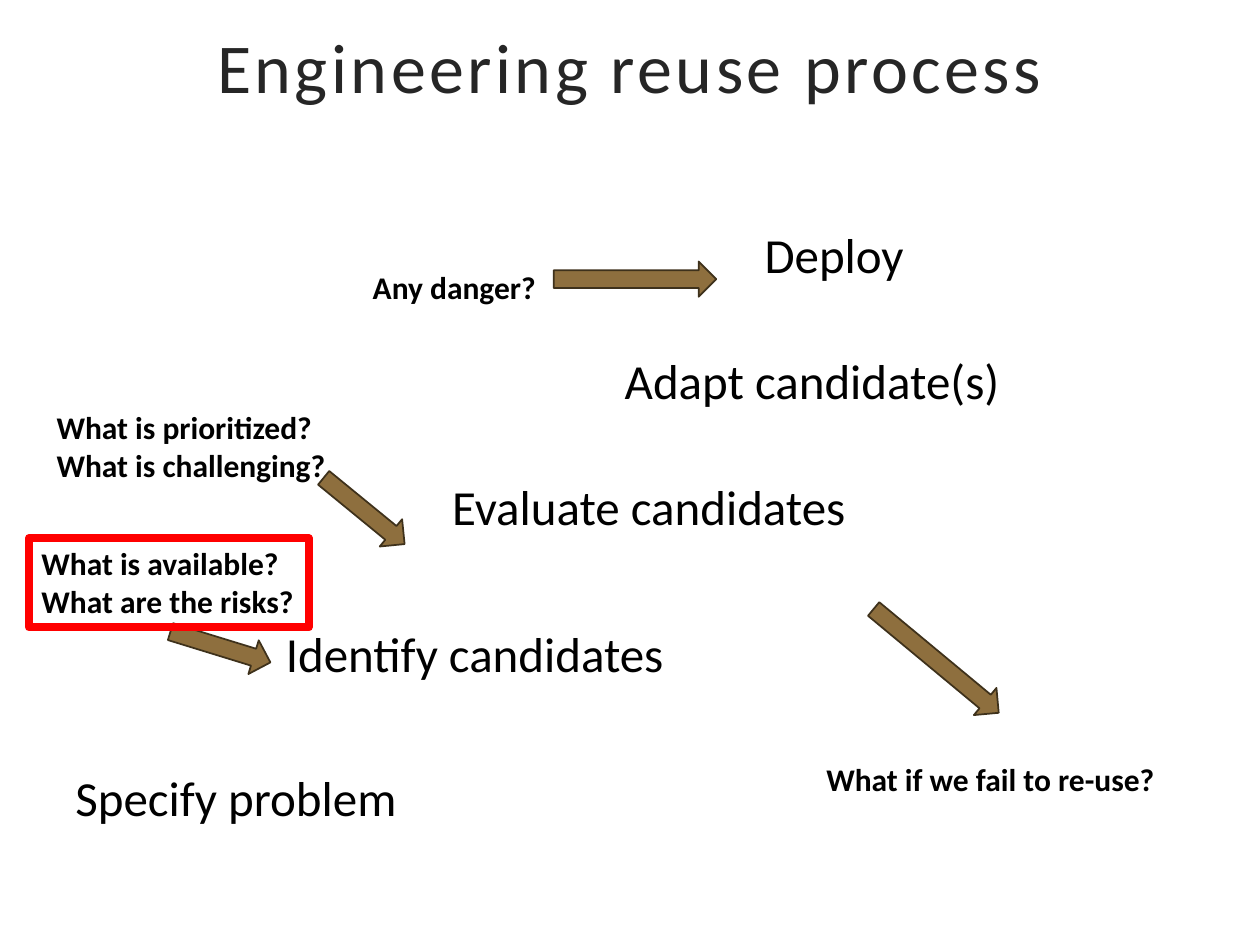
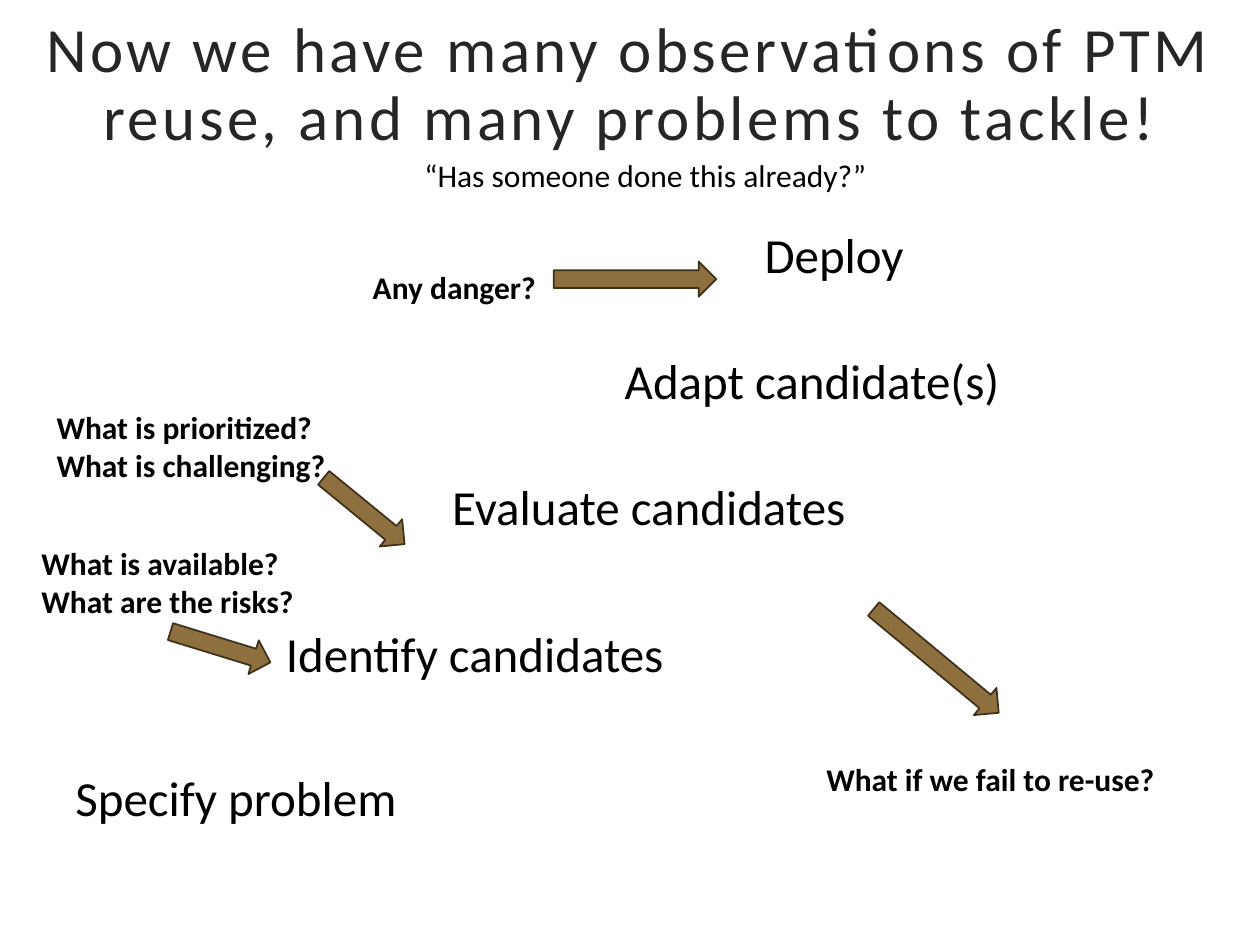
from dataclasses import dataclass

from pptx import Presentation
from pptx.dml.color import RGBColor
from pptx.enum.shapes import MSO_SHAPE as Preset
from pptx.enum.text import MSO_ANCHOR as Anchor, MSO_AUTO_SIZE as AutoSize, PP_ALIGN as Align
from pptx.presentation import Presentation as Deck
from pptx.shapes.autoshape import Shape
from pptx.slide import Slide
from pptx.util import Inches, Pt

COLUMNS, ROWS = 100, 75
SLIDE_WIDTH, SLIDE_HEIGHT = Inches(10), Inches(7.5)

FONT = "Calibri"
BLACK, WHITE, TITLE_GREY = "000000", "FFFFFF", "262626"
ARROW_BROWN, ARROW_EDGE, HIGHLIGHT_RED = "8E6F3E", "3E311B", "FF0000"
STEP_SIZE, QUESTION_SIZE = 28, 18
STEP_HEIGHT, ARROW_WIDTH = 5.7, 2.8
LINE_HEIGHT, BOX_PADDING = 3.1, 0.9


@dataclass(frozen=True)
class Area:
    """A place on the grid, in columns and rows."""
    column: float
    row: float
    columns: float
    rows: float

    def lengths(self) -> tuple[int, int, int, int]:
        cell_width, cell_height = SLIDE_WIDTH / COLUMNS, SLIDE_HEIGHT / ROWS
        return (round(self.column * cell_width), round(self.row * cell_height),
                round(self.columns * cell_width), round(self.rows * cell_height))


@dataclass(frozen=True)
class Step:
    text: str
    column: float
    row: float
    columns: float


@dataclass(frozen=True)
class Question:
    text: str
    column: float
    row: float
    columns: float
    bold: bool = True


@dataclass(frozen=True)
class Arrow:
    column: float
    row: float
    rows: float
    rotation: float


@dataclass(frozen=True)
class Title:
    text: str
    area: Area
    size: int


STEPS = (
    Step("Specify problem", 5, 60.4, 27.8),
    Step("Identify candidates", 21.7, 49, 32.3),
    Step("Evaluate candidates", 34.9, 37.3, 33.6),
    Step("Adapt candidate(s)", 48.6, 27.3, 32.1),
    Step("Deploy", 59.7, 17.3, 13.2),
)
AVAILABILITY = Question("What is available?\nWhat are the risks?", 2.3, 42.7, 22.2)
QUESTIONS = (
    AVAILABILITY,
    Question("What is prioritized?\nWhat is challenging?", 3.5, 31.9, 23.5),
    Question("Any danger?", 28.6, 20.8, 15.1),
    Question("What if we fail to re-use?", 64.6, 59.8, 28.3),
)
ALREADY_DONE = Question("“Has someone done this already?”", 32.7, 11.9, 37.4, bold=False)
ARROWS = (
    Arrow(16.1, 47.2, 8.3, 287.1),
    Arrow(27.5, 36.4, 8.3, 309.3),
    Arrow(49, 15.7, 12.9, 270),
    Arrow(72.9, 46, 12.9, 309.7),
)
PROCESS_TITLE = Title("Engineering reuse process", Area(7.5, 0.6, 85, 10.3), 40)
PROBLEMS_TITLE = Title(
    "Now we have many observations of PTM reuse, and many problems to tackle!",
    Area(-0.3, -0.6, 100.5, 19.2), 36)


def colour(value: str) -> RGBColor:
    return RGBColor.from_string(value)


def add_text(slide: Slide, text: str, area: Area, *, size: float, ink: str = BLACK,
             bold: bool = False, align: Align = Align.LEFT, wrap: bool = False,
             inset: float | None = None, line_spacing: float | None = None,
             tracking: float = 0) -> Shape:
    """Write each line of the text as a paragraph; tracking is in points."""
    box = slide.shapes.add_textbox(*area.lengths())
    frame = box.text_frame
    frame.word_wrap = wrap
    frame.auto_size = AutoSize.NONE if wrap else AutoSize.SHAPE_TO_FIT_TEXT
    frame.vertical_anchor = Anchor.TOP
    if inset is not None:
        frame.margin_left = frame.margin_right = Inches(inset)
        frame.margin_top = frame.margin_bottom = Inches(inset)
    frame.text = text
    for paragraph in frame.paragraphs:
        paragraph.alignment = align
        paragraph.line_spacing = line_spacing
        for run in paragraph.runs:
            run.font.name = FONT
            run.font.size = Pt(size)
            run.font.bold = bold
            run.font.color.rgb = colour(ink)
            if tracking:
                run.font._element.set("spc", str(round(tracking * 100)))
    return box


def outline(shape: Shape, ink: str, width: float) -> None:
    shape.line.color.rgb = colour(ink)
    shape.line.width = Pt(width)


def add_title(slide: Slide, title: Title) -> None:
    box = add_text(slide, title.text, title.area, size=title.size, ink=TITLE_GREY,
                   align=Align.CENTER, wrap=True, inset=0.2, line_spacing=0.9, tracking=2)
    box.fill.solid()
    box.fill.fore_color.rgb = colour(WHITE)


def add_arrow(slide: Slide, arrow: Arrow) -> None:
    area = Area(arrow.column, arrow.row, ARROW_WIDTH, arrow.rows)
    shape = slide.shapes.add_shape(Preset.DOWN_ARROW, *area.lengths())
    shape.rotation = arrow.rotation
    shape.shadow.inherit = False
    shape.fill.solid()
    shape.fill.fore_color.rgb = colour(ARROW_BROWN)
    outline(shape, ARROW_EDGE, 1)


def add_question(slide: Slide, question: Question) -> Shape:
    line_count = len(question.text.splitlines())
    area = Area(question.column, question.row, question.columns,
                BOX_PADDING + LINE_HEIGHT * line_count)
    return add_text(slide, question.text, area, size=QUESTION_SIZE, bold=question.bold)


def add_process_slide(presentation: Deck, title: Title, extra: tuple[Question, ...] = (),
                      highlighted: Question | None = None) -> None:
    slide = presentation.slides.add_slide(presentation.slide_layouts[6])
    slide.background.fill.solid()
    slide.background.fill.fore_color.rgb = colour(WHITE)
    add_title(slide, title)
    for arrow in ARROWS:
        add_arrow(slide, arrow)
    for step in STEPS:
        area = Area(step.column, step.row, step.columns, STEP_HEIGHT)
        add_text(slide, step.text, area, size=STEP_SIZE)
    for question in QUESTIONS + extra:
        box = add_question(slide, question)
        if question == highlighted:
            outline(box, HIGHLIGHT_RED, 4.5)


def main() -> None:
    presentation = Presentation()
    presentation.slide_width, presentation.slide_height = SLIDE_WIDTH, SLIDE_HEIGHT
    add_process_slide(presentation, PROCESS_TITLE, highlighted=AVAILABILITY)
    add_process_slide(presentation, PROBLEMS_TITLE, extra=(ALREADY_DONE,))
    presentation.save("out.pptx")


if __name__ == "__main__":
    main()
